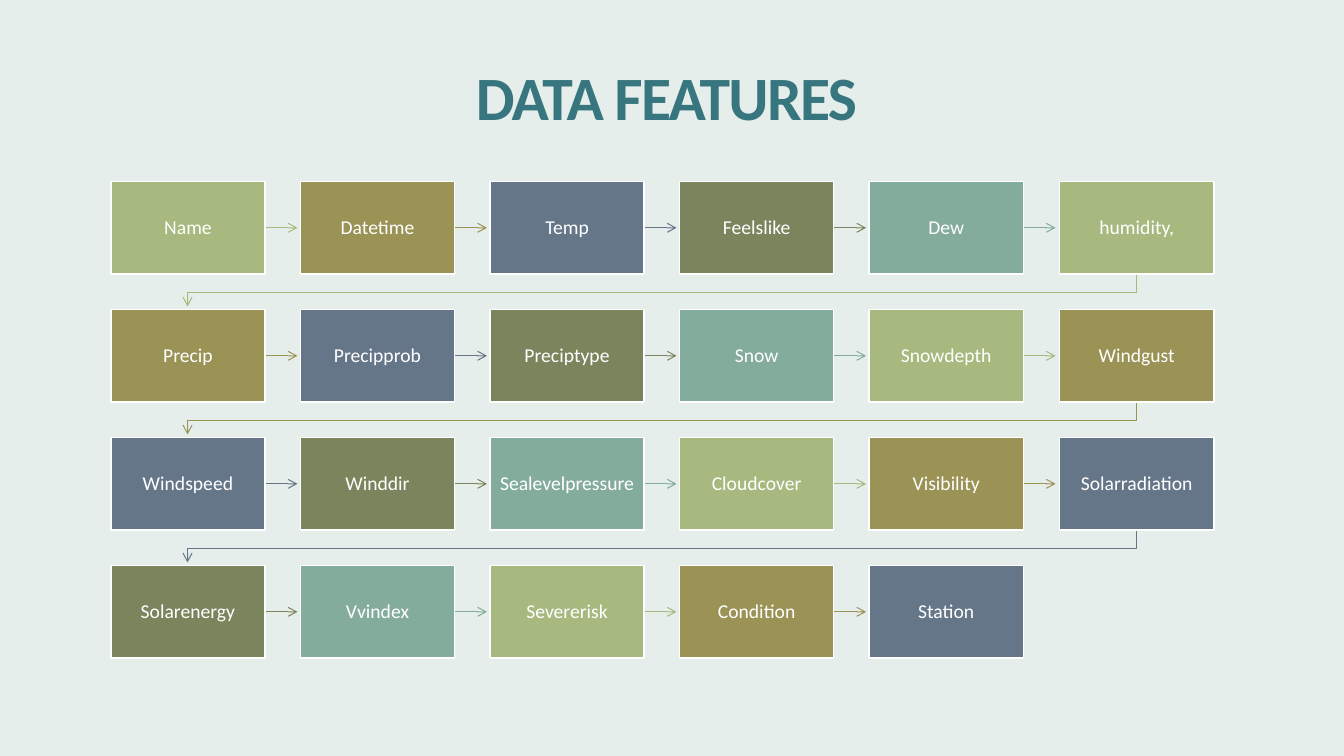
import dataclasses

import lxml.etree
import pptx
import pptx.dml.color
import pptx.dml.line
import pptx.enum.shapes
import pptx.enum.text
import pptx.oxml.ns
import pptx.shapes.base
import pptx.slide
import pptx.text.text
import pptx.util

EMU_PER_PX = 9144
FONT = "Calibri"
COLORS = {
    "background": "E6EEEB",
    "title": "37757F",
    "white": "FFFFFF",
    "green": "A8B97F",
    "olive": "9B9256",
    "slate": "657689",
    "moss": "7A855D",
    "teal": "84AC9D",
}
STEP_COLORS = ("green", "olive", "slate", "moss", "teal")
FEATURES = (
    "Name", "Datetime", "Temp", "Feelslike", "Dew", "humidity,",
    "Precip", "Precipprob", "Preciptype", "Snow", "Snowdepth", "Windgust",
    "Windspeed", "Winddir", "Sealevelpressure", "Cloudcover", "Visibility", "Solarradiation",
    "Solarenergy", "Vvindex", "Severerisk", "Condition", "Station",
)
COLUMNS = 6
GRID_LEFT, GRID_TOP = 110, 180
COLUMN_SPAN, ROW_PITCH = 941, 127
STEP_WIDTH, STEP_HEIGHT = 153, 92
ARROW_LENGTH, TURN_DEPTH = 32, 18


@dataclasses.dataclass(frozen=True)
class Step:
    label: str
    color: str
    left: int
    top: int
    ends_row: bool

    @property
    def right(self) -> int:
        return self.left + STEP_WIDTH

    @property
    def bottom(self) -> int:
        return self.top + STEP_HEIGHT

    @property
    def center(self) -> int:
        return self.left + STEP_WIDTH // 2

    @property
    def middle(self) -> int:
        return self.top + STEP_HEIGHT // 2


def px(length: int) -> pptx.util.Emu:
    return pptx.util.Emu(length * EMU_PER_PX)


def rgb(color: str) -> pptx.dml.color.RGBColor:
    return pptx.dml.color.RGBColor.from_string(COLORS[color])


def make_step(index: int, label: str) -> Step:
    row, column = divmod(index, COLUMNS)
    return Step(
        label,
        STEP_COLORS[index % len(STEP_COLORS)],
        GRID_LEFT + COLUMN_SPAN * column // (COLUMNS - 1),
        GRID_TOP + ROW_PITCH * row,
        column == COLUMNS - 1,
    )


def style_line(line: pptx.dml.line.LineFormat, color: str, points: float) -> None:
    line.color.rgb = rgb(color)
    line.width = pptx.util.Pt(points)


def write_line(
    frame: pptx.text.text.TextFrame, text: str, size: int, color: str, spacing: float
) -> pptx.text.text._Paragraph:
    frame.word_wrap = True
    frame.vertical_anchor = pptx.enum.text.MSO_ANCHOR.MIDDLE
    paragraph = frame.paragraphs[0]
    paragraph.text = text
    paragraph.alignment = pptx.enum.text.PP_ALIGN.CENTER
    paragraph.line_spacing = spacing
    paragraph.font.name = FONT
    paragraph.font.size = pptx.util.Pt(size)
    paragraph.font.color.rgb = rgb(color)
    return paragraph


def draw_title(slide: pptx.slide.Slide) -> None:
    title = slide.shapes.add_textbox(px(72), px(55), px(1178), px(92))
    heading = write_line(title.text_frame, "DATA FEATURES", 44, "title", 0.85)
    heading.font.bold = True
    heading.runs[0]._r.get_or_add_rPr().set("spc", "-120")


def draw_step(slide: pptx.slide.Slide, step: Step) -> None:
    box = slide.shapes.add_shape(
        pptx.enum.shapes.MSO_SHAPE.RECTANGLE,
        px(step.left), px(step.top), px(STEP_WIDTH), px(STEP_HEIGHT),
    )
    box.shadow.inherit = False
    box.fill.solid()
    box.fill.fore_color.rgb = rgb(step.color)
    style_line(box.line, "white", 1)
    frame = box.text_frame
    frame.margin_left = frame.margin_right = px(7)
    frame.margin_top = frame.margin_bottom = px(8)
    write_line(frame, step.label, 14, "white", 0.9)


def draw_arrow(slide: pptx.slide.Slide, step: Step, following: Step) -> None:
    if step.ends_row:
        turn = step.bottom + TURN_DEPTH
        route = slide.shapes.build_freeform(px(step.center), px(step.bottom))
        route.add_line_segments(
            [
                (px(step.center), px(turn)),
                (px(following.center), px(turn)),
                (px(following.center), px(step.bottom + ARROW_LENGTH)),
            ],
            close=False,
        )
        arrow = route.convert_to_shape()
        arrow.fill.background()
    else:
        arrow = slide.shapes.add_connector(
            pptx.enum.shapes.MSO_CONNECTOR.STRAIGHT,
            px(step.right), px(step.middle),
            px(step.right + ARROW_LENGTH), px(step.middle),
        )
    style_line(arrow.line, step.color, 0.75)
    properties = arrow._element.spPr
    outline = properties.find(pptx.oxml.ns.qn("a:ln"))
    lxml.etree.SubElement(outline, pptx.oxml.ns.qn("a:tailEnd"), type="arrow")
    lxml.etree.SubElement(properties, pptx.oxml.ns.qn("a:effectLst"))


def main() -> None:
    presentation = pptx.Presentation()
    presentation.slide_width = px(1333)
    presentation.slide_height = px(750)
    slide = presentation.slides.add_slide(presentation.slide_layouts[6])
    slide.background.fill.solid()
    slide.background.fill.fore_color.rgb = rgb("background")

    draw_title(slide)
    steps = [make_step(index, label) for index, label in enumerate(FEATURES)]
    for step, following in zip(steps, steps[1:]):
        draw_arrow(slide, step, following)
    for step in steps:
        draw_step(slide, step)
    presentation.save("out.pptx")


if __name__ == "__main__":
    main()
